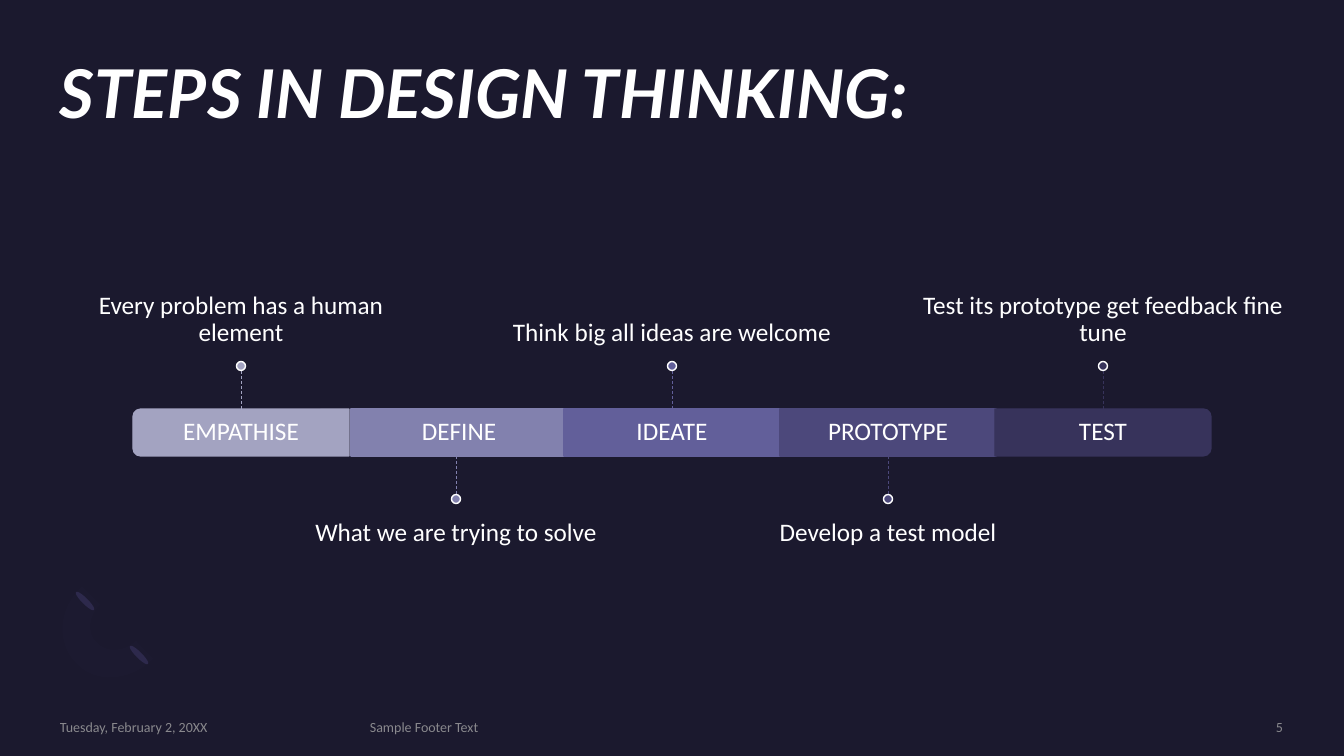
from dataclasses import dataclass

import lxml.etree
import pptx
import pptx.dml.color
import pptx.enum.dml
import pptx.enum.shapes
import pptx.enum.text
import pptx.oxml.ns
import pptx.util

SHAPE = pptx.enum.shapes.MSO_SHAPE
ALIGN = pptx.enum.text.PP_ALIGN
ANCHOR = pptx.enum.text.MSO_ANCHOR


@dataclass
class Theme:
    back: str = "1B192E"
    text: str = "FFFFFF"
    footer: str = "A6A6A6"
    petal: str = "2C284A"
    arc: str = "7771B2"
    heading_font: str = "Lato"
    body_font: str = "Calibri"
    title_size: int = 48
    body_size: int = 18
    footer_size: int = 10


class Deck:
    """Draws styled elements, measured in px, on the current slide."""

    def __init__(self, theme):
        self.theme = theme
        self.prs = pptx.Presentation()
        self.prs.slide_width = self.px(1344)
        self.prs.slide_height = self.px(756)

    def px(self, n):
        return pptx.util.Emu(round(n * 914400 / 100.8))

    def rgb(self, code):
        return pptx.dml.color.RGBColor.from_string(code)

    def add_slide(self):
        self.s = self.prs.slides.add_slide(self.prs.slide_layouts[6])
        self.paint(self.s.background.fill, self.theme.back)

    def paint(self, fill, color, alpha=100):
        fill.solid()
        fill.fore_color.rgb = self.rgb(color)
        if alpha < 100:
            clr = fill._xPr.find(".//" + pptx.oxml.ns.qn("a:srgbClr"))
            node = lxml.etree.SubElement(clr, pptx.oxml.ns.qn("a:alpha"))
            node.set("val", str(alpha * 1000))

    def finish(self, sp, fill, line=None, alpha=100):
        sp.shadow.inherit = False
        self.paint(sp.fill, fill, alpha)
        if line:
            sp.line.color.rgb = self.rgb(line)
            sp.line.width = pptx.util.Pt(1)
        else:
            sp.line.fill.background()

    def shape(self, kind, cx, cy, w, h, fill, line=None, rotation=0):
        sp = self.s.shapes.add_shape(
            kind, self.px(cx - w / 2), self.px(cy - h / 2), self.px(w), self.px(h))
        sp.rotation = rotation
        self.finish(sp, fill, line)

    def outline(self, start, curves, fill, alpha):
        points = [start]
        for curve in curves:
            if len(curve) == 1:
                points += curve
                continue
            a, (b, c, d) = points[-1], curve
            for t in (i / 12 for i in range(1, 13)):
                u = 1 - t
                points.append(tuple(
                    u**3 * a[k] + 3 * u * u * t * b[k] + 3 * u * t * t * c[k] + t**3 * d[k]
                    for k in (0, 1)))
        points = [(self.px(x), self.px(y)) for x, y in points]
        builder = self.s.shapes.build_freeform(*points[0])
        builder.add_line_segments(points[1:], close=True)
        self.finish(builder.convert_to_shape(), fill, alpha=alpha)

    def text(self, words, x, y, w, h, size, font, color=None, align=ALIGN.LEFT,
             anchor=ANCHOR.MIDDLE, pad=(0, 0, 0, 0), bold=False, alpha=100, spacing=1.0):
        tf = self.s.shapes.add_textbox(*map(self.px, (x, y, w, h))).text_frame
        tf.word_wrap = True
        tf.vertical_anchor = anchor
        tf.margin_left, tf.margin_top, tf.margin_right, tf.margin_bottom = map(self.px, pad)
        p = tf.paragraphs[0]
        p.alignment = align
        p.line_spacing = spacing
        r = p.add_run()
        r.text = words
        r.font.size = pptx.util.Pt(size)
        r.font.name = font
        r.font.bold = r.font.italic = bold
        self.paint(r.font.fill, color or self.theme.text, alpha)

    def body(self, words, x, y, w, h, anchor, pad):
        self.text(words, x, y, w, h, self.theme.body_size, self.theme.body_font,
                  align=ALIGN.CENTER, anchor=anchor, pad=pad, spacing=0.9)

    def footer(self, words, x, w, align=ALIGN.LEFT):
        self.text(words, x, 718, w, 17, self.theme.footer_size, self.theme.body_font,
                  self.theme.footer, align, alpha=80)

    def dashed_line(self, x, top, bottom, color):
        c = self.s.shapes.add_connector(
            pptx.enum.shapes.MSO_CONNECTOR.STRAIGHT,
            *map(self.px, (x, top, x, bottom)))
        c.line.color.rgb = self.rgb(color)
        c.line.width = pptx.util.Pt(0.5)
        c.line.dash_style = pptx.enum.dml.MSO_LINE.DASH
        lxml.etree.SubElement(c._element.spPr, pptx.oxml.ns.qn("a:effectLst"))

    def step(self, name, note, color, bar_x, stem_x, above, rotation):
        bar_w, bar_h, bar_y, stem = 216, 47, 409, 38
        middle = bar_x + bar_w / 2, bar_y + bar_h / 2
        if rotation:
            self.shape(SHAPE.ROUND_2_SAME_RECTANGLE, *middle, bar_h, bar_w,
                       color, color, rotation)
        else:
            self.shape(SHAPE.RECTANGLE, *middle, bar_w, bar_h, color, color)
        self.body(name, bar_x, bar_y, bar_w, bar_h, ANCHOR.MIDDLE, (15, 15, 15, 15))
        if above:
            self.body(note, stem_x - 180, 195, 360, 167, ANCHOR.BOTTOM, (0, 0, 0, 15))
            top, dot_y = bar_y - stem, bar_y - stem - 5
        else:
            self.body(note, stem_x - 180, 505, 360, 167, ANCHOR.TOP, (0, 15, 0, 0))
            top, dot_y = bar_y + bar_h, bar_y + bar_h + stem + 5
        self.dashed_line(stem_x, top, top + stem, color)
        self.shape(SHAPE.OVAL, stem_x, dot_y, 9, 9, color, self.theme.text)


STEPS = [
    ("EMPATHISE", "Every problem has a human element", "A3A3C1", 133, 270),
    ("DEFINE", "What we are trying to solve", "8281AE", 351, 0),
    ("IDEATE", "Think big all ideas are welcome", "625F9A", 564, 0),
    ("PROTOTYPE", "Develop a test model", "4C487B", 780, 0),
    ("TEST", "Test its prototype get feedback fine tune", "37335B", 995, 90),
]
ARC = [
    [(56, 644), (58, 608), (82, 587)],
    [(100, 605)],
    [(88, 616), (87, 634), (97, 643)],
    [(107, 653), (124, 652), (136, 641)],
    [(153, 659)],
    [(131, 681), (96, 684), (77, 664)],
]


def main():
    theme = Theme()
    deck = Deck(theme)
    deck.add_slide()
    for x, y in ((139, 655), (85, 601)):
        deck.shape(SHAPE.OVAL, x, y, 6, 26, theme.petal, rotation=135)
    deck.outline((77, 664), ARC, theme.arc, 2)
    deck.text("STEPS IN DESIGN THINKING:", 60, 60, 1223, 147, theme.title_size,
              theme.heading_font, anchor=ANCHOR.TOP, bold=True, spacing=0.9)
    for i, (name, note, color, bar_x, rotation) in enumerate(STEPS):
        deck.step(name, note, color, bar_x, round(241 + 215.5 * i), i % 2 == 0, rotation)
    deck.footer("Tuesday, February 2, 20XX", 60, 290)
    deck.footer("Sample Footer Text", 370, 704)
    deck.footer("5", 1097, 186, ALIGN.RIGHT)
    deck.prs.save("out.pptx")


if __name__ == "__main__":
    main()
